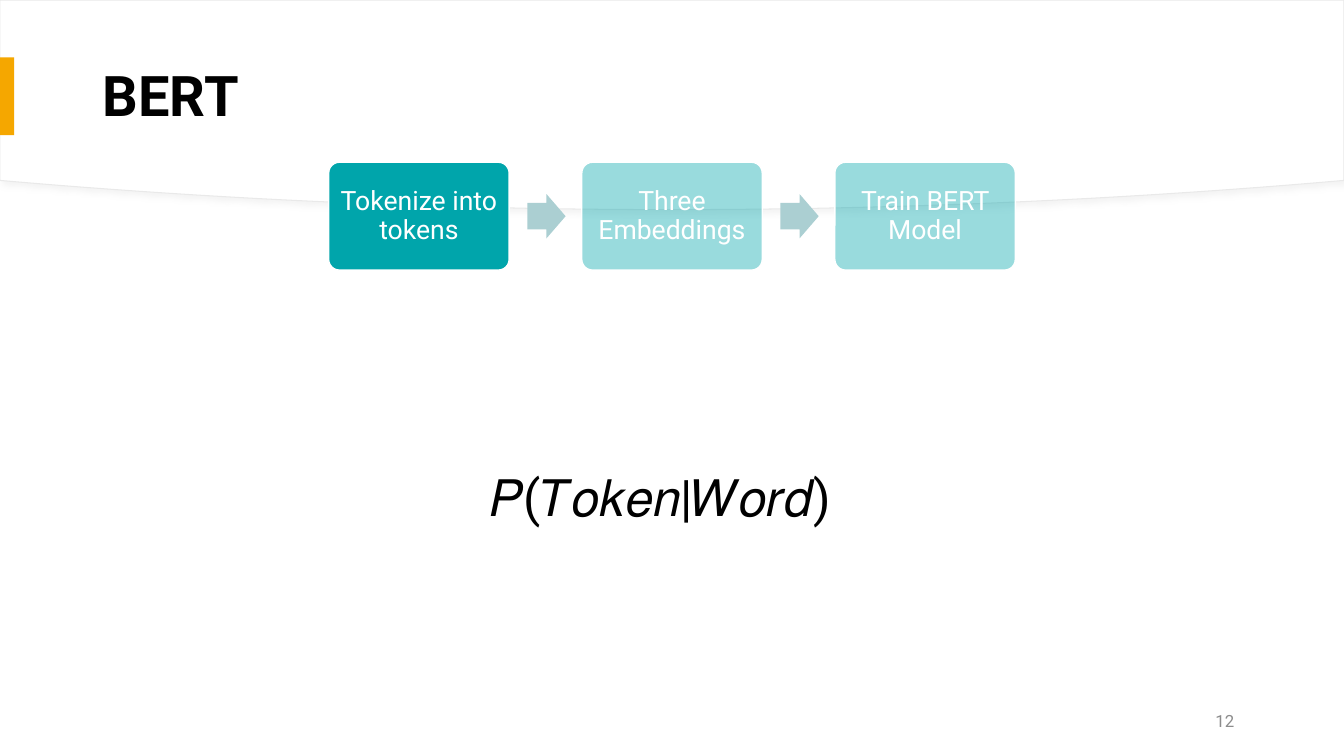
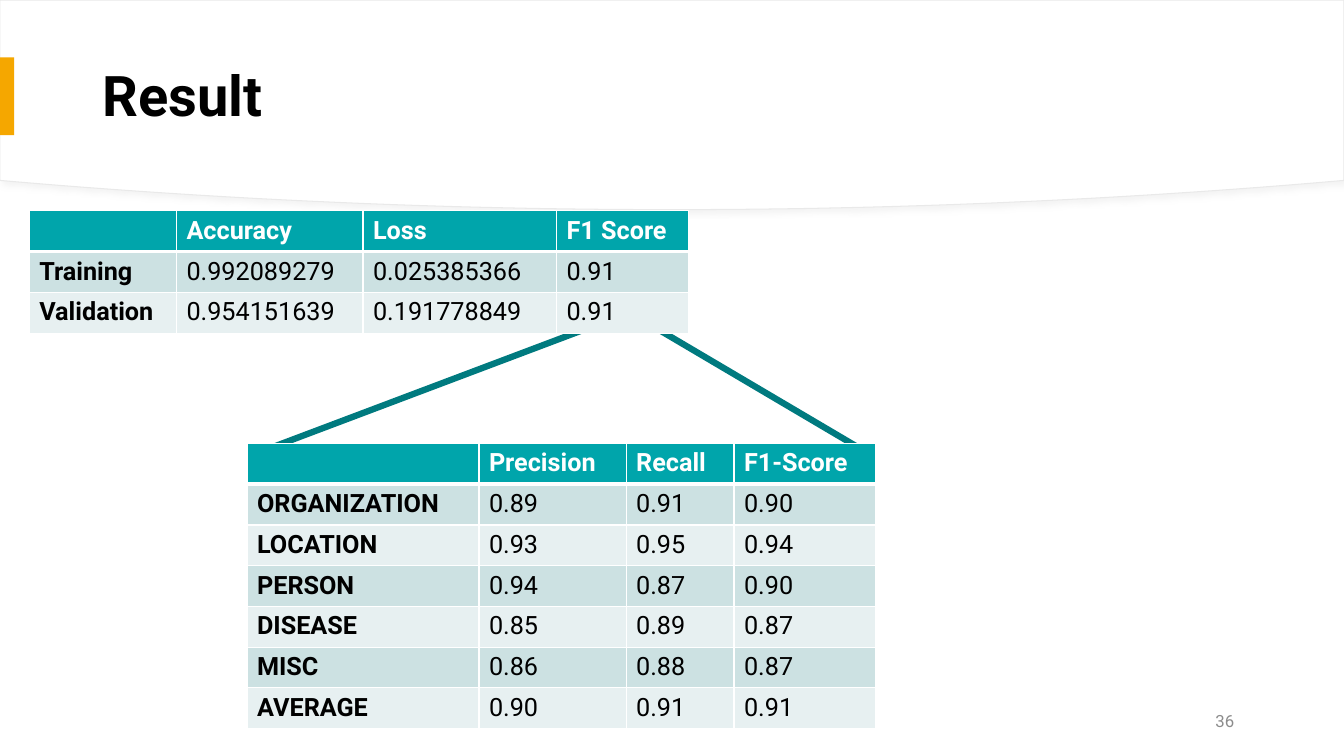
"""Build the BERT tokenizing slide and the result tables slide."""
from lxml.etree import SubElement
from pptx import Presentation
from pptx.dml.color import RGBColor
from pptx.enum.shapes import MSO_SHAPE as Preset
from pptx.enum.text import MSO_ANCHOR as Anchor, PP_ALIGN as Align
from pptx.oxml.ns import qn
from pptx.util import Inches, Pt

WHITE = RGBColor(0xFF, 0xFF, 0xFF)
BLACK = RGBColor(0x00, 0x00, 0x00)
GRAY = RGBColor(0x8C, 0x8C, 0x8C)
EDGE = RGBColor(0xE9, 0xE9, 0xE9)
SHADE = RGBColor(0xD9, 0xD9, 0xD9)
AMBER = RGBColor(0xF5, 0xA7, 0x00)
TEAL = RGBColor(0x00, 0xA5, 0xAB)
DARK_TEAL = RGBColor(0x00, 0x7A, 0x7F)
ARROW = RGBColor(0xAB, 0xCF, 0xD2)
BANDS = (RGBColor(0xE7, 0xF0, 0xF1), RGBColor(0xCC, 0xE1, 0xE2))

FONT = "Roboto"
WIDTH, HEIGHT = 13.33, 7.5
CURVE_BOTTOM, CURVE_RISE, CURVE_STEPS = 2.08, 0.29, 48

TITLE_FORMAT = {"size": Pt(40), "bold": True}
FORMULA_FORMAT = {"size": Pt(36)}
NUMBER_FORMAT = {"size": Pt(12), "color": GRAY}
STEP_FORMAT = {"size": Pt(19), "color": WHITE}

STEPS = ["Tokenize into tokens", "Three Embeddings", "Train BERT Model"]
STEP_LEFT, STEP_TOP, STEP_WIDTH, STEP_HEIGHT, STEP_PITCH = 3.26, 1.61, 1.79, 1.07, 2.51
ARROW_OFFSET, ARROW_WIDTH, ARROW_HEIGHT = 1.97, 0.38, 0.44
FORMULA = "𝑃(𝑇𝑜𝑘𝑒𝑛|𝑊𝑜𝑟𝑑)"

SCORES = {
    "place": (0.29, 2.09, 6.55, 1.22),
    "columns": (1.46, 1.85, 1.92, 1.31),
    "rows": [
        ("", "Accuracy", "Loss", "F1 Score"),
        ("Training", "0.992089279", "0.025385366", "0.91"),
        ("Validation", "0.954151639", "0.191778849", "0.91"),
    ],
}
ENTITIES = {
    "place": (2.45, 4.4, 6.24, 2.83),
    "columns": (2.3, 1.46, 1.07, 1.4),
    "rows": [
        ("", "Precision", "Recall", "F1-Score"),
        ("ORGANIZATION", "0.89", "0.91", "0.90"),
        ("LOCATION", "0.93", "0.95", "0.94"),
        ("PERSON", "0.94", "0.87", "0.90"),
        ("DISEASE", "0.85", "0.89", "0.87"),
        ("MISC", "0.86", "0.88", "0.87"),
        ("AVERAGE", "0.90", "0.91", "0.91"),
    ],
}


def inches(*lengths):
    return [Inches(length) for length in lengths]


def format_paragraph(paragraph, values):
    for name, value in {"name": FONT, "color": BLACK, **values}.items():
        if name == "color":
            paragraph.font.color.rgb = value
        else:
            setattr(paragraph.font, name, value)


def fill_solid(shape, color, alpha=None):
    shape.fill.solid()
    shape.fill.fore_color.rgb = color
    if alpha:
        color_element = shape._element.spPr.find(qn("a:solidFill"))[0]
        SubElement(color_element, qn("a:alpha"), val=str(alpha * 1000))


def add_preset(slide, preset, place, fill=None, alpha=None, line=None, adjustments=()):
    shape = slide.shapes.add_shape(preset, *inches(*place))
    shape.shadow.inherit = False
    for index, value in enumerate(adjustments):
        shape.adjustments[index] = value
    if fill is None:
        shape.fill.background()
    else:
        fill_solid(shape, fill, alpha)
    if line is None:
        shape.line.fill.background()
    else:
        shape.line.color.rgb, shape.line.width = line
    return shape


def write_text(shape, text, values, align=Align.LEFT, spacing=None):
    frame = shape.text_frame
    frame.word_wrap = True
    frame.vertical_anchor = Anchor.MIDDLE
    paragraph = frame.paragraphs[0]
    paragraph.text = text
    paragraph.alignment = align
    paragraph.line_spacing = spacing
    format_paragraph(paragraph, values)
    return frame


def add_text(slide, place, *text_options):
    write_text(slide.shapes.add_textbox(*inches(*place)), *text_options)


def add_header_band(slide):
    builder = slide.shapes.build_freeform(0, 0)
    points = [(WIDTH, 0)]
    for step in range(CURVE_STEPS + 1):
        offset = 1 - 2 * step / CURVE_STEPS
        points.append((WIDTH / 2 * (1 + offset), CURVE_BOTTOM - CURVE_RISE * offset ** 2))
    builder.add_line_segments([inches(*point) for point in points])
    band = builder.convert_to_shape()
    fill_solid(band, WHITE)
    band.line.color.rgb = EDGE
    band.line.width = Pt(0.75)
    band.shadow.inherit = False
    effects = band._element.spPr.find(qn("a:effectLst"))
    shadow = SubElement(effects, qn("a:outerShdw"), blurRad=str(Pt(4)),
                        dist=str(Pt(3)), dir=str(45 * 60000))
    color = SubElement(shadow, qn("a:srgbClr"), val=str(SHADE))
    SubElement(color, qn("a:alpha"), val="30000")


def add_slide(presentation, title, number):
    slide = presentation.slides.add_slide(presentation.slide_layouts[6])
    add_header_band(slide)
    add_text(slide, (0.92, 0.28, 11.5, 1.39), title, TITLE_FORMAT, Align.LEFT, 0.9)
    add_preset(slide, Preset.RECTANGLE, (0, 0.57, 0.14, 0.77), AMBER)
    add_text(slide, (9.34, 6.95, 3, 0.4), number, NUMBER_FORMAT, Align.RIGHT)
    return slide


def add_steps(slide):
    middle = STEP_TOP + STEP_HEIGHT / 2
    for index, label in enumerate(STEPS):
        left = STEP_LEFT + index * STEP_PITCH
        step = add_preset(slide, Preset.ROUNDED_RECTANGLE,
                          (left, STEP_TOP, STEP_WIDTH, STEP_HEIGHT), TEAL,
                          40 if index else None, (WHITE, Pt(1)), (0.1,))
        frame = write_text(step, label, STEP_FORMAT, Align.CENTER, 0.9)
        for side in ("left", "top", "right", "bottom"):
            setattr(frame, f"margin_{side}", Inches(0.08))
        if index < len(STEPS) - 1:
            place = (left + ARROW_OFFSET, middle - ARROW_HEIGHT / 2, ARROW_WIDTH, ARROW_HEIGHT)
            add_preset(slide, Preset.RIGHT_ARROW, place, ARROW, adjustments=(0.6, 0.5))


def set_borders(cell, row):
    widths = {"L": 1, "R": 1, "T": 3 if row == 1 else 1, "B": 3 if row == 0 else 1}
    properties = cell._tc.get_or_add_tcPr()
    for side, width in widths.items():
        border = SubElement(properties, qn(f"a:ln{side}"), w=str(Pt(width)))
        SubElement(SubElement(border, qn("a:solidFill")), qn("a:srgbClr"), val=str(WHITE))


def add_score_table(slide, content):
    rows, columns = content["rows"], content["columns"]
    table = slide.shapes.add_table(len(rows), len(columns), *inches(*content["place"])).table
    for column, width in zip(table.columns, columns):
        column.width = Inches(width)
    for row, texts in enumerate(rows):
        for column, text in enumerate(texts):
            cell = table.cell(row, column)
            set_borders(cell, row)
            cell.fill.solid()
            cell.fill.fore_color.rgb = BANDS[row % 2] if row else TEAL
            cell.text = text
            format_paragraph(cell.text_frame.paragraphs[0], {
                "size": Pt(18),
                "bold": row == 0 or column == 0,
                "color": BLACK if row else WHITE,
            })


def main():
    presentation = Presentation()
    presentation.slide_width, presentation.slide_height = inches(WIDTH, HEIGHT)

    bert = add_slide(presentation, "BERT", "12")
    add_text(bert, (0.77, 4.5, 11.57, 0.85), FORMULA, FORMULA_FORMAT, Align.CENTER)
    add_steps(bert)

    result = add_slide(presentation, "Result", "36")
    add_preset(result, Preset.ISOSCELES_TRIANGLE, (2.56, 3.1, 6.04, 1.39),
               line=(DARK_TEAL, Pt(4.5)), adjustments=(0.61,))
    for content in (SCORES, ENTITIES):
        add_score_table(result, content)

    presentation.save("out.pptx")


if __name__ == "__main__":
    main()
